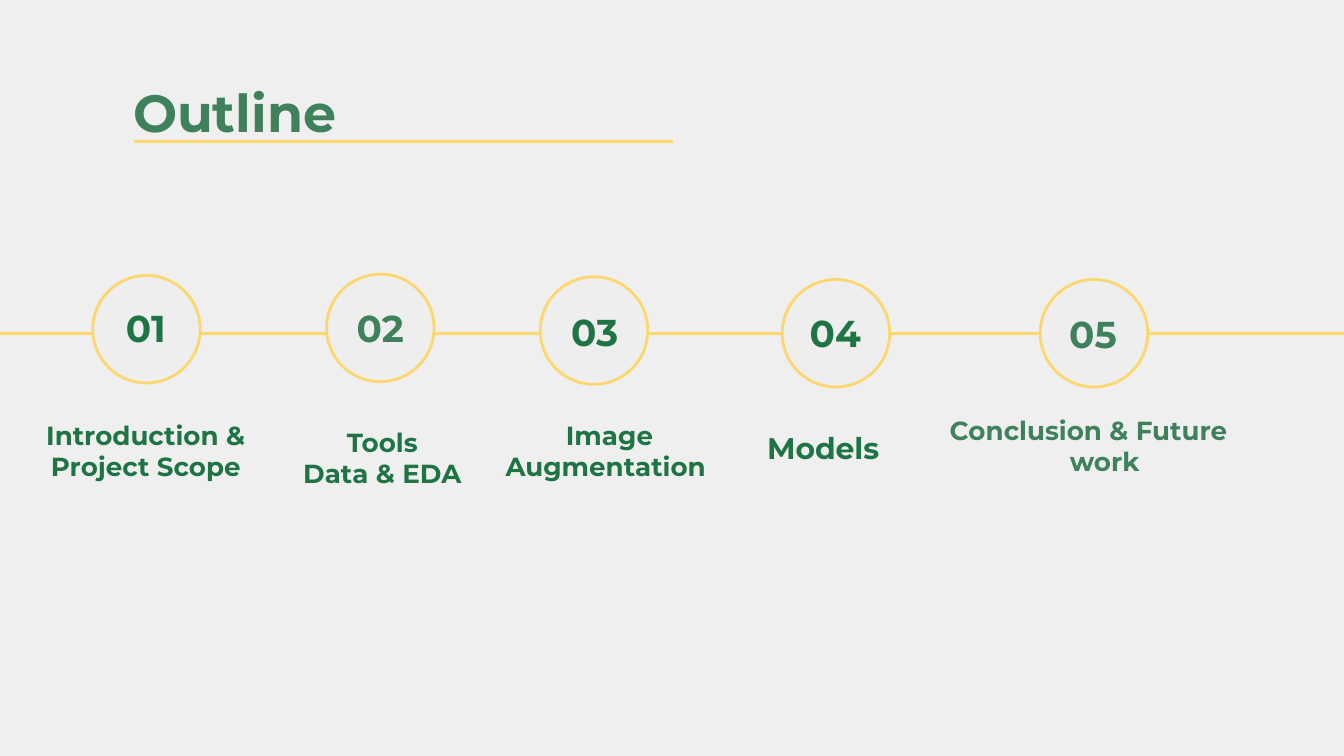
from dataclasses import dataclass

from lxml.etree import SubElement
from pptx import Presentation
from pptx.dml.color import RGBColor
from pptx.enum.shapes import MSO_CONNECTOR, MSO_SHAPE
from pptx.enum.text import MSO_ANCHOR, MSO_AUTO_SIZE, PP_ALIGN
from pptx.oxml.ns import qn
from pptx.util import Inches, Pt


@dataclass(frozen=True)
class Theme:
    font: str = "Montserrat"
    background: RGBColor = RGBColor(0xEF, 0xEF, 0xEF)
    circle: RGBColor = RGBColor(0xEE, 0xEE, 0xEE)
    accent: RGBColor = RGBColor(0xFB, 0xD7, 0x6D)
    dark: RGBColor = RGBColor(0x1F, 0x74, 0x44)
    light: RGBColor = RGBColor(0x3E, 0x81, 0x5B)
    title_size: int = 28
    number_size: int = 20
    large_size: int = 16
    label_size: int = 14
    line_width: float = 1.5


theme = Theme()


def write(sp, text, size, color, align=PP_ALIGN.CENTER, anchor=MSO_ANCHOR.TOP):
    tf = sp.text_frame
    tf.text = text
    tf.word_wrap = True
    tf.auto_size = MSO_AUTO_SIZE.NONE
    tf.vertical_anchor = anchor
    tf.margin_left = tf.margin_right = tf.margin_top = tf.margin_bottom = Inches(0.1)
    for p in tf.paragraphs:
        p.alignment = align
        for r in p.runs:
            r.font.name = theme.font
            r.font.size = Pt(size)
            r.font.bold = True
            r.font.color.rgb = color


def add_rule(x1, x2, y):
    line = s.shapes.add_connector(
        MSO_CONNECTOR.STRAIGHT, Inches(x1), Inches(y), Inches(x2), Inches(y))
    line.line.color.rgb = theme.accent
    line.line.width = Pt(theme.line_width)
    SubElement(line._element.spPr, qn("a:effectLst"))


prs = Presentation()
prs.slide_width = Inches(10)
prs.slide_height = Inches(10 * 9 / 16)
s = prs.slides.add_slide(prs.slide_layouts[5])
s.background.fill.solid()
s.background.fill.fore_color.rgb = theme.background

title = s.shapes.title
title.left, title.top = Inches(0.89), Inches(0.5)
title.width, title.height = Inches(8.21), Inches(0.63)
write(title, "Outline", theme.title_size, theme.light, PP_ALIGN.LEFT)

add_rule(-0.02, 10.02, 2.48)
add_rule(1, 5.01, 1.05)

circles = [
    (0.69, 2.05, None, None),
    (2.43, 2.04, "02", PP_ALIGN.CENTER),
    (4.02, 2.06, None, None),
    (5.82, 2.08, None, None),
    (7.74, 2.08, "05", PP_ALIGN.LEFT),
]
for x, y, number, align in circles:
    sp = s.shapes.add_shape(
        MSO_SHAPE.OVAL, Inches(x), Inches(y), Inches(0.8), Inches(0.8))
    sp.shadow.inherit = False
    sp.fill.solid()
    sp.fill.fore_color.rgb = theme.circle
    sp.line.color.rgb = theme.accent
    sp.line.width = Pt(theme.line_width)
    if number:
        write(sp, number, theme.number_size, theme.light, align, MSO_ANCHOR.MIDDLE)

for number, x, y in [("01", 0.16, 2.16), ("03", 3.5, 2.19), ("04", 5.29, 2.2)]:
    sp = s.shapes.add_textbox(Inches(x), Inches(y), Inches(1.85), Inches(0.55))
    write(sp, number, theme.number_size, theme.dark, anchor=MSO_ANCHOR.MIDDLE)

labels = [
    ("Introduction & Project Scope", 0.16, 3.02, theme.label_size),
    ("Tools\vData & EDA", 1.92, 3.07, theme.label_size),
    ("Image Augmentation ", 3.61, 3.02, theme.label_size),
    ("Models", 5.2, 3.1, theme.large_size),
]
for text, x, y, size in labels:
    sp = s.shapes.add_textbox(Inches(x), Inches(y), Inches(1.85), Inches(0.63))
    write(sp, text, size, theme.dark)

sp = s.shapes.add_textbox(Inches(6.75), Inches(2.98), Inches(2.58), Inches(0.87))
write(sp, "Conclusion & Future work", theme.label_size, theme.light)
pPr = sp.text_frame.paragraphs[0]._p.get_or_add_pPr()
pPr.set("marL", str(Inches(0.36)))
pPr.set("indent", str(Inches(-0.24)))

prs.save("out.pptx")
